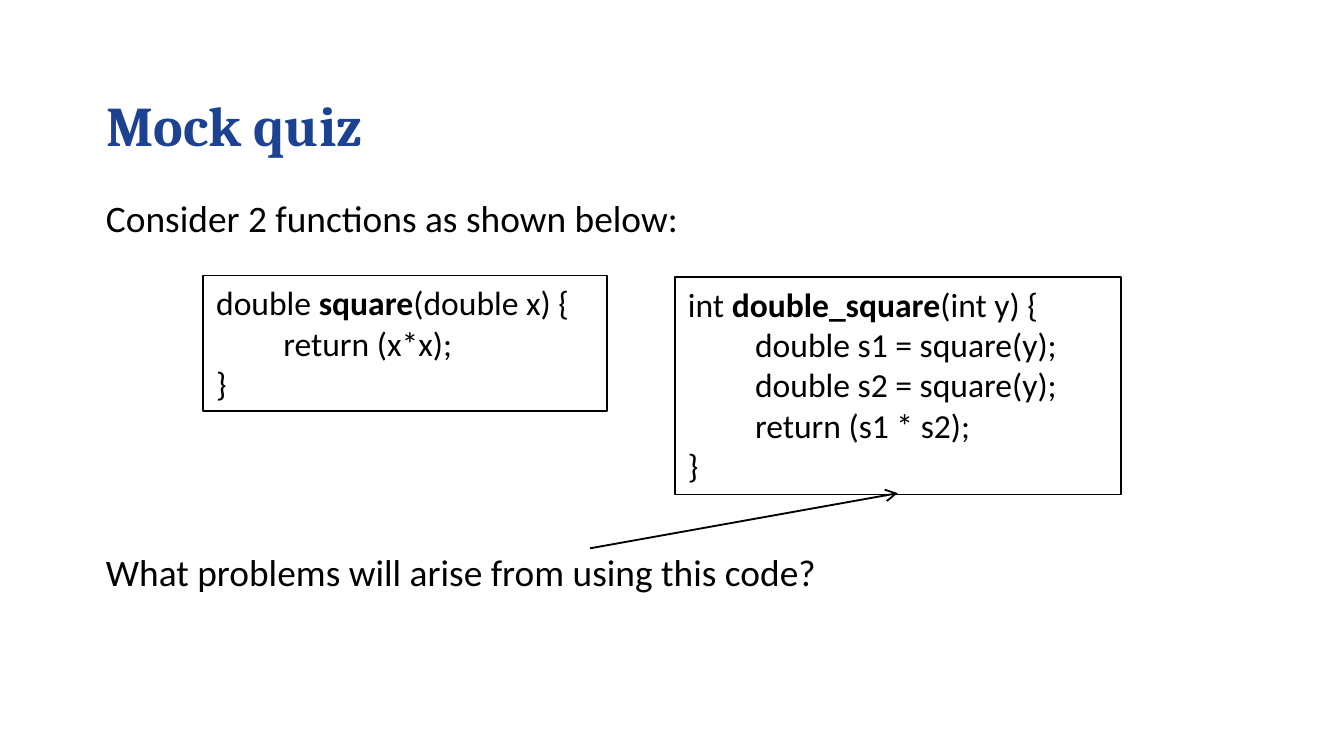
from dataclasses import dataclass

from lxml.etree import SubElement
from pptx import Presentation
from pptx.dml.color import RGBColor
from pptx.enum.shapes import MSO_CONNECTOR, MSO_SHAPE
from pptx.enum.text import MSO_ANCHOR, PP_ALIGN
from pptx.oxml.ns import qn
from pptx.util import Inches, Pt

COLORS = {"title": "1C4392", "ink": "000000", "paper": "FFFFFF"}
FORMATS = {
    "title": {"name": "Cambria", "size": Pt(30), "bold": True},
    "body": {"name": "Calibri", "size": Pt(20), "bold": False},
    "code": {"name": "Calibri", "size": Pt(18), "bold": False},
    "function": {"name": "Calibri", "size": Pt(18), "bold": True},
}


@dataclass
class CodeBox:
    left: float
    top: float
    width: float
    height: float
    returns: str
    name: str
    params: str
    body: list[str]


def color(key: str) -> RGBColor:
    return RGBColor.from_string(COLORS[key])


def add_run(p, text: str, style: str, ink: str = "ink") -> None:
    r = p.add_run()
    r.text = text
    for attr, value in FORMATS[style].items():
        setattr(r.font, attr, value)
    r.font.color.rgb = color(ink)


def place(sp, left: float, top: float, width: float, height: float) -> None:
    box = {"left": left, "top": top, "width": width, "height": height}
    for attr, value in box.items():
        setattr(sp, attr, Inches(value))


def add_code(s, box: CodeBox) -> None:
    sp = s.shapes.add_shape(MSO_SHAPE.RECTANGLE, 0, 0, 0, 0)
    place(sp, box.left, box.top, box.width, box.height)
    sp.shadow.inherit = False
    sp.fill.solid()
    sp.fill.fore_color.rgb = color("paper")
    sp.line.color.rgb = color("ink")
    sp.line.width = Pt(1)
    tf = sp.text_frame
    tf.word_wrap = True
    tf.vertical_anchor = MSO_ANCHOR.TOP

    # Signature, indented statements, closing brace
    p = tf.paragraphs[0]
    add_run(p, f"{box.returns} ", "code")
    add_run(p, box.name, "function")
    add_run(p, f"({box.params}) {{", "code")
    for line in box.body:
        p = tf.add_paragraph()
        p._p.get_or_add_pPr().set("marL", str(Inches(0.5)))
        add_run(p, line, "code")
    add_run(tf.add_paragraph(), "}", "code")
    for p in tf.paragraphs:
        p.alignment = PP_ALIGN.LEFT


def add_arrow(s, x1: float, y1: float, x2: float, y2: float) -> None:
    ends = [Inches(v) for v in (x1, y1, x2, y2)]
    line = s.shapes.add_connector(MSO_CONNECTOR.STRAIGHT, *ends)
    line.line.color.rgb = color("ink")
    line.line.width = Pt(1)
    SubElement(line.line._get_or_add_ln(), qn("a:tailEnd"), type="arrow")
    SubElement(line._element.spPr, qn("a:effectLst"))


def main() -> None:
    # Widescreen slide, 16:9
    prs = Presentation()
    prs.slide_width, prs.slide_height = Inches(10), Inches(10 * 9 / 16)
    s = prs.slides.add_slide(prs.slide_layouts[5])

    # Title
    title = s.shapes.title
    place(title, 0.69, 0.61, 8.46, 0.69)
    title.text_frame.vertical_anchor = MSO_ANCHOR.MIDDLE
    p = title.text_frame.paragraphs[0]
    p.alignment = PP_ALIGN.LEFT
    p.line_spacing = 0.9
    add_run(p, "Mock quiz", "title", "title")

    # Prompt and question, with room for the code between them
    sp = s.shapes.add_textbox(0, 0, 0, 0)
    place(sp, 0.69, 1.44, 8.46, 3.47)
    tf = sp.text_frame
    tf.word_wrap = True
    prompt, question = tf.paragraphs[0], tf.add_paragraph()
    question.space_before = Pt(168)
    for p, text in (
        (prompt, "Consider 2 functions as shown below:"),
        (question, "What problems will arise from using this code?"),
    ):
        p.line_spacing = 0.9
        add_run(p, text, "body")

    # Code boxes
    boxes = [
        CodeBox(1.51, 2.05, 3.01, 1.01, "double", "square", "double x",
                ["return (x*x);"]),
        CodeBox(5.02, 2.06, 3.32, 1.62, "int", "double_square", "int y",
                ["double s1 = square(y);", "double s2 = square(y);",
                 "return (s1 * s2);"]),
    ]
    for box in boxes:
        add_code(s, box)

    # Arrow from the question to the bottom of the second box
    target = boxes[1]
    add_arrow(s, 4.39, 4.08, target.left + target.width / 2, 3.67)

    prs.save("out.pptx")


if __name__ == "__main__":
    main()
